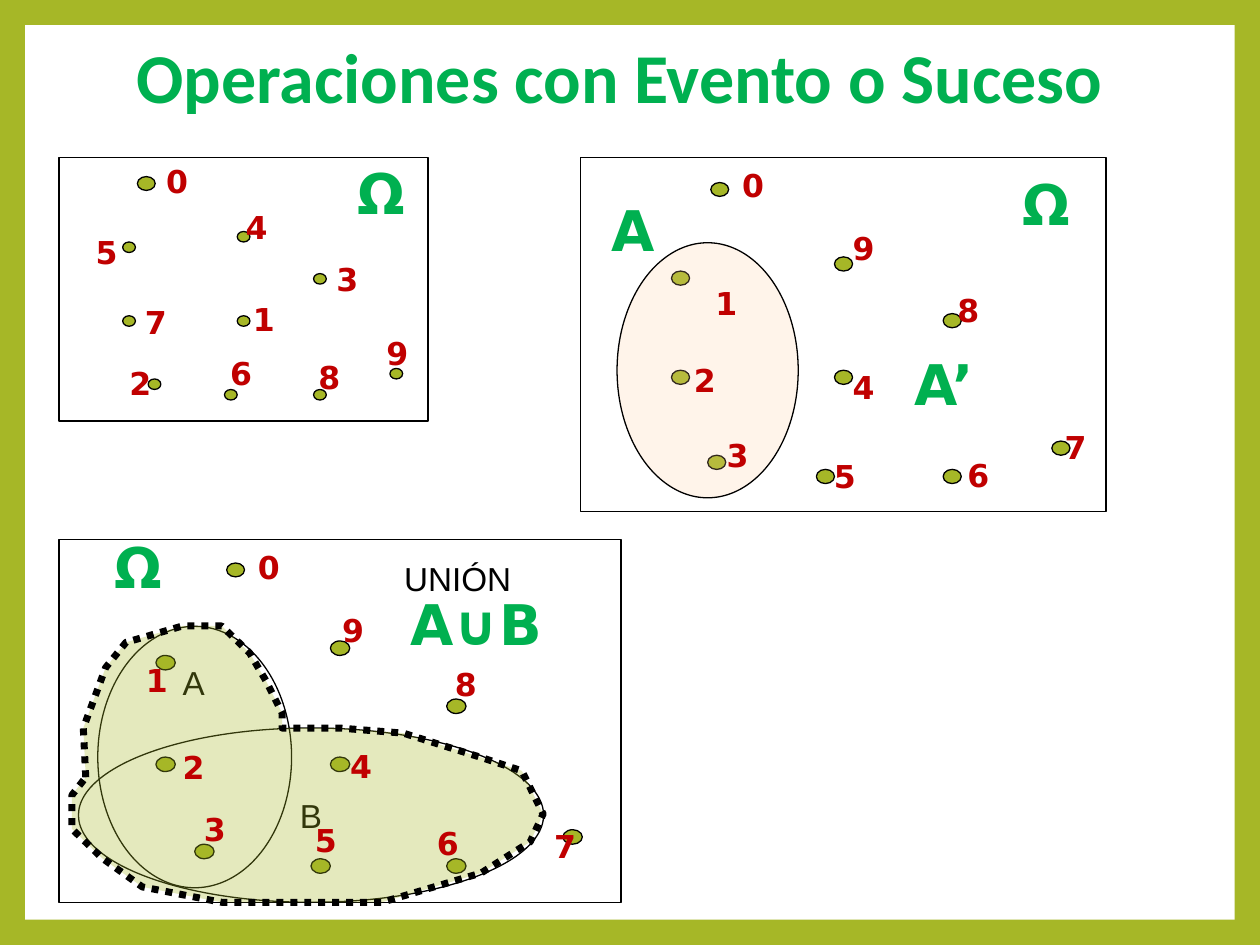
from dataclasses import dataclass

from lxml import etree
from pptx import Presentation
from pptx.dml.color import RGBColor
from pptx.enum.dml import MSO_LINE
from pptx.enum.shapes import MSO_SHAPE
from pptx.enum.text import MSO_ANCHOR, PP_ALIGN
from pptx.oxml.ns import qn
from pptx.util import Cm, Pt

RECT, OVAL = MSO_SHAPE.RECTANGLE, MSO_SHAPE.OVAL
CENTER, MIDDLE, DOTTED = PP_ALIGN.CENTER, MSO_ANCHOR.MIDDLE, MSO_LINE.ROUND_DOT


@dataclass(frozen=True)
class Theme:
    lime: str = "A6B727"
    green: str = "00B050"
    red: str = "C00000"
    peach: str = "FFCC99"
    white: str = "FFFFFF"
    black: str = "000000"
    thin: float = 0.75
    thick: float = 4


T = Theme()
STYLES = {
    "title": (T.green, {"name": "Calibri", "size": Pt(40), "bold": True}),
    "event": (T.green, {"name": "DejaVu Sans", "size": Pt(32), "bold": True}),
    "digit": (T.red, {"name": "DejaVu Sans", "size": Pt(18), "bold": True}),
    "plain": (T.black, {"name": "Arial", "size": Pt(19), "bold": False}),
}

COLS, ROWS = 29, 25
DOTS = [(5, 8), (5, 15), (13, 22), (14, 7), (20, 22),
        (7, 21), (14, 15), (26, 20), (20, 11)]
SET_A = (2, 6, 10, 18)
SET_B = (1, 13, 24, 12)

SPACE = (1.19, 3.18, 7.44, 5.31)
COMPL = (11.71, 3.18, 10.59, 7.14)
UNION = (1.19, 10.87, 11.33, 7.32)

DIGITS = [
    [(3.1, 3.15), (4.85, 5.92), (2.36, 7.21), (6.53, 5.11), (4.7, 4.06),
     (1.68, 4.57), (4.39, 7.01), (2.67, 5.99), (6.17, 7.09), (7.54, 6.6)],
    [(14.71, 3.23), (14.17, 5.61), (13.74, 7.16), (14.4, 8.66), (16.94, 7.29),
     (16.56, 9.09), (19.25, 9.07), (21.21, 8.51), (19.05, 5.74), (16.94, 4.5)],
    [(4.95, 10.92), (2.69, 13.21), (3.43, 14.96), (3.86, 16.21), (6.81, 14.94),
     (6.1, 16.43), (8.56, 16.48), (10.92, 16.54), (8.92, 13.28), (6.65, 12.19)],
]
ZEROS = [(2.77, 3.56), (14.33, 3.68), (4.57, 11.35)]
OMEGAS = [(6.96, 3.07), (20.37, 3.3), (2.06, 10.62)]
EDGE = [
    (1.73, 15.67), (1.68, 14.68), (2.13, 13.46), (2.54, 12.95), (3.68, 12.62),
    (4.47, 12.62), (5.03, 13.16), (5.36, 13.72), (5.69, 14.38), (5.69, 14.68),
    (6.88, 14.68), (8.13, 14.78), (9.7, 15.27), (10.52, 15.54), (10.95, 16.41),
    (10.69, 16.97), (9.7, 17.6), (7.7, 18.19), (5.69, 18.19), (4.47, 18.19),
    (2.87, 17.88), (2.06, 17.3), (1.45, 16.71), (1.45, 16.03),
]


def write(frame, text, style, align=None):
    color, values = STYLES[style]
    frame.word_wrap = True
    para = frame.paragraphs[0]
    para.alignment = align
    run = para.add_run()
    run.text = text
    for key, value in values.items():
        setattr(run.font, key, value)
    run.font.color.rgb = RGBColor.from_string(color)
    return para


def paint(shape, fill=None, line=T.black, width=T.thin, alpha=None):
    shape.shadow.inherit = False
    if fill:
        shape.fill.solid()
        shape.fill.fore_color.rgb = RGBColor.from_string(fill)
    else:
        shape.fill.background()
    if alpha:
        color = shape._element.spPr.find(".//" + qn("a:srgbClr"))
        etree.SubElement(color, qn("a:alpha")).set("val", str(alpha * 1000))
    if line:
        shape.line.color.rgb = RGBColor.from_string(line)
        shape.line.width = Pt(width)
    else:
        shape.line.fill.background()


def draw(shapes, kind, box, **look):
    shape = shapes.add_shape(kind, *map(Cm, box))
    paint(shape, **look)
    return shape


def label(shapes, text, style, box):
    write(shapes.add_textbox(*map(Cm, box)).text_frame, text, style)


def cell(panel, spot):
    left, top, width, height = panel
    col, row, wide, high = spot
    dx, dy = width / COLS, height / ROWS
    return left + col * dx, top + row * dy, wide * dx, high * dy


def add_panel(slide, panel):
    shapes = slide.shapes.add_group_shape().shapes
    draw(shapes, RECT, panel)
    for col, row in DOTS:
        draw(shapes, OVAL, cell(panel, (col, row, 1, 1)), fill=T.lime)
    return shapes


def add_compl(slide):
    shapes = add_panel(slide, COMPL)
    draw(shapes, OVAL, cell(COMPL, SET_A), fill=T.peach, alpha=20)
    label(shapes, "A", "event", (12.07, 3.81, 1.5, 1.63))
    label(shapes, "A’", "event", (18.19, 6.93, 1.9, 1.63))


def add_union(slide):
    shapes = add_panel(slide, UNION)
    draw(shapes, OVAL, cell(UNION, SET_A))
    label(shapes, "A", "plain", (3.43, 13.23, 1.85, 1.55))
    oval = draw(shapes, OVAL, cell(UNION, SET_B))
    oval.text_frame.vertical_anchor = MIDDLE
    write(oval.text_frame, "B", "plain", CENTER)
    points = [(Cm(x), Cm(y)) for x, y in EDGE]
    pen = slide.shapes.build_freeform(*points[0])
    pen.add_line_segments(points[1:], close=True)
    shape = pen.convert_to_shape()
    paint(shape, fill=T.lime, width=T.thick, alpha=30)
    shape.line.dash_style = DOTTED
    label(slide.shapes, "UNIÓN", "plain", (7.9, 11.13, 5.21, 1.07))
    label(slide.shapes, "A∪B", "event", (8.03, 11.76, 4.04, 1.63))


def add_marks(slide):
    for spots, zero, omega in zip(DIGITS, ZEROS, OMEGAS):
        draw(slide.shapes, OVAL, (*zero, 0.36, 0.28), fill=T.lime)
        for digit, spot in enumerate(spots):
            label(slide.shapes, str(digit), "digit", (*spot, 1.09, 1.02))
        label(slide.shapes, "Ω", "event", (*omega, 1.6, 1.63))


def add_frame(slide):
    back = slide.background.fill
    back.solid()
    back.fore_color.rgb = RGBColor.from_string(T.lime)
    page = draw(slide.shapes, RECT, (0.51, 0.51, 24.38, 18.03),
                fill=T.white, line=None)
    slide.shapes._spTree.insert(2, page._element)


def add_title(slide):
    title = slide.shapes.title
    box = {"left": 1.35, "top": -0.25, "width": 22.28, "height": 3.76}
    for key, value in box.items():
        setattr(title, key, Cm(value))
    title.text_frame.vertical_anchor = MIDDLE
    para = write(title.text_frame, "Operaciones con Evento o Suceso",
                 "title", CENTER)
    para.line_spacing = 0.9


def main():
    deck = Presentation()
    deck.slide_width, deck.slide_height = Cm(25.4), Cm(19.05)
    slide = deck.slides.add_slide(deck.slide_layouts[5])
    add_frame(slide)
    add_title(slide)
    add_panel(slide, SPACE)
    add_compl(slide)
    add_union(slide)
    add_marks(slide)
    deck.save("out.pptx")


if __name__ == "__main__":
    main()
